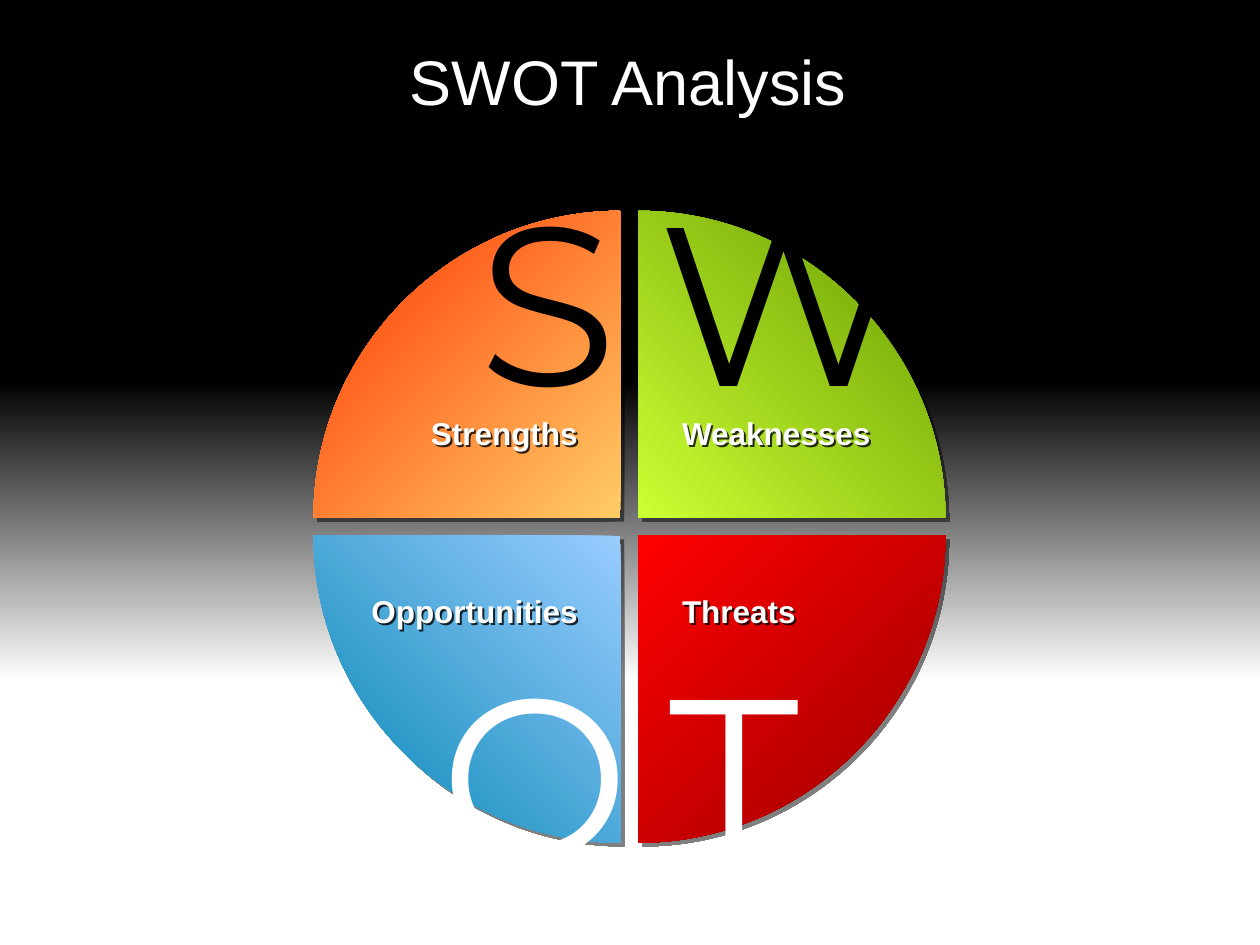
from dataclasses import dataclass

from lxml import etree
from pptx import Presentation
from pptx.dml.color import RGBColor
from pptx.enum.shapes import MSO_SHAPE
from pptx.enum.text import MSO_ANCHOR, MSO_AUTO_SIZE, PP_ALIGN
from pptx.oxml.ns import qn
from pptx.util import Cm, Pt

RECT = MSO_SHAPE.RECTANGLE
MIDDLE = MSO_ANCHOR.MIDDLE
GROW, FIXED = MSO_AUTO_SIZE.SHAPE_TO_FIT_TEXT, MSO_AUTO_SIZE.NONE
LEFT, CENTER, RIGHT = PP_ALIGN.LEFT, PP_ALIGN.CENTER, PP_ALIGN.RIGHT

HUES = {
    "black": "000000", "white": "FFFFFF",
    "lime": "CCFF33", "olive": "669900",
    "red": "FF0000", "maroon": "990000",
    "sky": "99CCFF", "blue": "0085B2",
    "amber": "FFCC66", "orange": "FF3300",
}
WIDTH, HEIGHT = 25.4, 19.05
MID_X, MID_Y = 12.69, 10.62
GAP = 0.18
RADIUS = 6.19
BEND = 0.55


@dataclass
class Quarter:
    col: int
    row: int
    start: str
    end: str
    angle: int


@dataclass
class Label:
    text: str
    left: float
    top: float
    width: float
    height: float
    size: int
    hue: str = "white"
    font: str = "Arial"
    align: PP_ALIGN = LEFT
    bold: bool = False


QUARTERS = [
    Quarter(1, -1, "olive", "lime", 225),
    Quarter(1, 1, "maroon", "red", 135),
    Quarter(-1, 1, "sky", "blue", 225),
    Quarter(-1, -1, "amber", "orange", 135),
]
UPPER, LOWER = 8.23, 11.82
NAMES = [
    Label("Strengths", 8.43, UPPER, 3.47, 1.02, 18, align=RIGHT, bold=True),
    Label("Opportunities", 7.23, LOWER, 4.67, 1.02, 18, align=RIGHT, bold=True),
    Label("Threats", 13.5, LOWER, 2.9, 1.02, 18, bold=True),
    Label("Weaknesses", 13.5, UPPER, 4.34, 1.02, 18, bold=True),
]
BIG = "Montserrat"
LETTERS = [
    Label("S", 9.4, 3.11, 3, 5.72, 129, "black", BIG),
    Label("W", 13.03, 3.11, 4.72, 5.72, 129, "black", BIG),
    Label("O", 8.63, 12.64, 4.06, 5.72, 129, "white", BIG),
    Label("T", 13.24, 12.64, 3.02, 5.72, 129, "white", BIG),
]
TITLE = Label("SWOT Analysis", 0.83, 0.71, 23.67, 1.8, 36, align=CENTER)


def color(name: str) -> RGBColor:
    return RGBColor.from_string(HUES[name])


def blend(shape, start: str, end: str, angle: int) -> None:
    shape.fill.gradient()
    shape.fill.gradient_angle = angle
    for stop, name, place in zip(shape.fill.gradient_stops, (start, end), (0, 1)):
        stop.color.rgb = color(name)
        stop.position = place


def shade(shape, alpha: int, reach: float) -> None:
    glow = etree.SubElement(shape._element.spPr, qn("a:effectLst"))
    drop = etree.SubElement(glow, qn("a:outerShdw"), blurRad="0",
                            dist=str(Pt(reach)), dir="2700000",
                            algn="ctr", rotWithShape="0")
    tint = etree.SubElement(drop, qn("a:srgbClr"), val=HUES["black"])
    etree.SubElement(tint, qn("a:alpha"), val=str(alpha * 1000))


def add_band(slide, top: float, height: float):
    band = slide.shapes.add_shape(RECT, 0, Cm(top), Cm(WIDTH), Cm(height))
    band.shadow.inherit = False
    band.line.fill.background()
    return band


def add_quarter(slide, part: Quarter) -> None:
    x, y = MID_X + part.col * GAP, MID_Y + part.row * GAP
    knots = [(1, 0), (1, BEND), (BEND, 1), (0, 1)]
    spots = [(Cm(x + part.col * RADIUS * u), Cm(y + part.row * RADIUS * v))
             for u, v in knots]
    pen = slide.shapes.build_freeform(Cm(x), Cm(y))
    pen.add_line_segments(spots, close=True)
    shape = pen.convert_to_shape()
    lines = list(shape._element.iter(qn("a:lnTo")))
    curve = etree.Element(qn("a:cubicBezTo"))
    lines[0].addnext(curve)
    for line in lines[1:4]:
        curve.append(line[0])
        line.getparent().remove(line)
    blend(shape, part.start, part.end, part.angle)
    shape.line.fill.background()
    shade(shape, 50, 3)


def add_label(slide, item: Label):
    box = slide.shapes.add_textbox(Cm(item.left), Cm(item.top),
                                   Cm(item.width), Cm(item.height))
    frame = box.text_frame
    frame.word_wrap = False
    frame.auto_size = GROW
    para = frame.paragraphs[0]
    para.alignment = item.align
    run = para.add_run()
    run.text = item.text
    run.font.size = Pt(item.size)
    run.font.bold = item.bold
    run.font.color.rgb = color(item.hue)
    run.font.name = item.font
    if item.bold:
        shade(box, 80, 1.6)
    return frame


def main() -> None:
    deck = Presentation()
    deck.slide_width, deck.slide_height = Cm(WIDTH), Cm(HEIGHT)
    slide = deck.slides.add_slide(deck.slide_layouts[6])

    night = add_band(slide, 0, 7.67)
    night.fill.solid()
    night.fill.fore_color.rgb = color("black")
    blend(add_band(slide, 7.67, 6.07), "black", "white", 270)

    for part in QUARTERS:
        add_quarter(slide, part)
    for item in NAMES + LETTERS:
        add_label(slide, item)

    head = add_label(slide, TITLE)
    head.word_wrap = True
    head.auto_size = FIXED
    head.vertical_anchor = MIDDLE
    head.margin_left = head.margin_right = 0
    deck.save("out.pptx")


if __name__ == "__main__":
    main()
